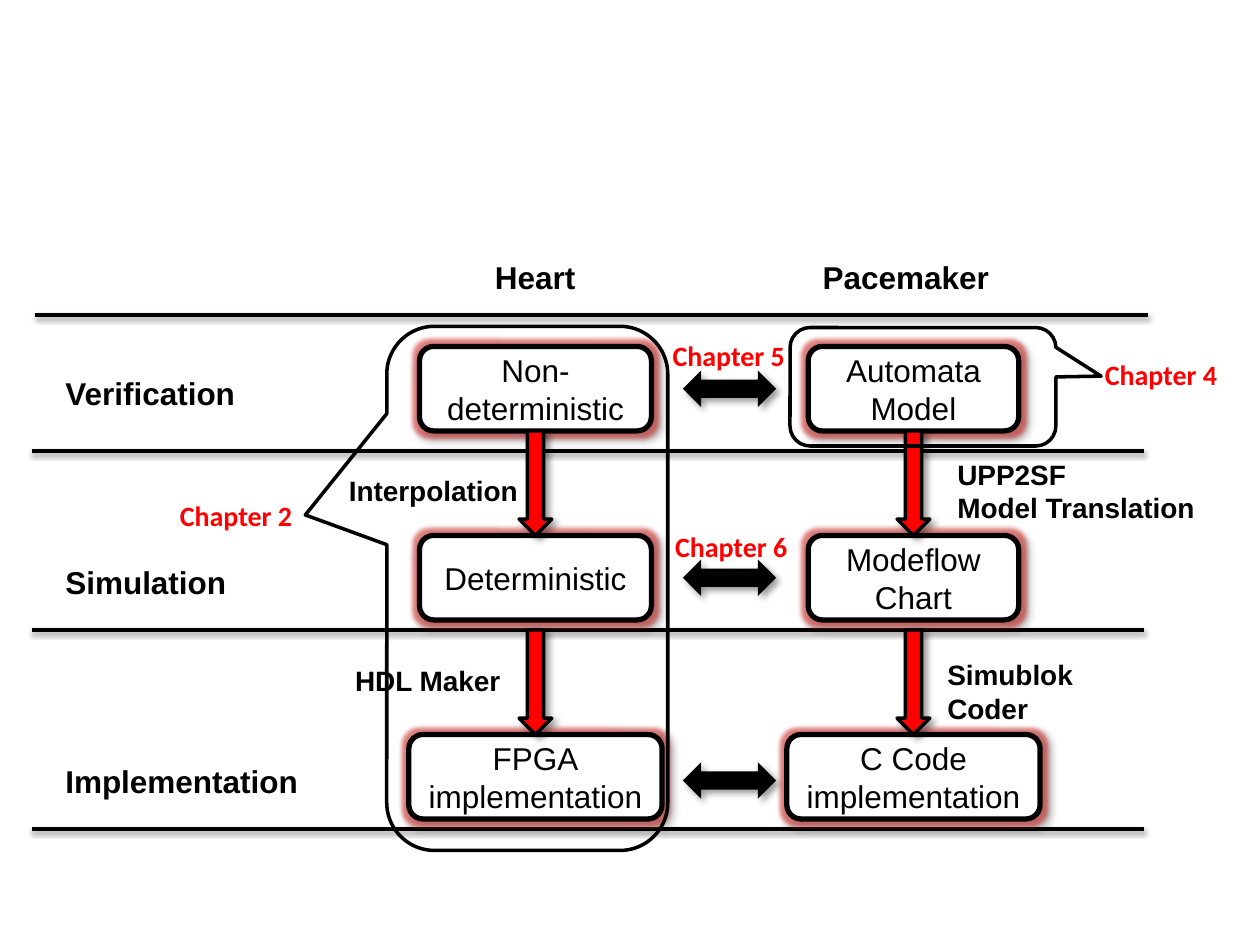
"""Build the heart and pacemaker model-based design slide."""
from lxml import etree
from pptx import Presentation
from pptx.dml.color import RGBColor
from pptx.enum import shapes, text
from pptx.oxml.ns import qn
from pptx.util import Inches, Pt

color = RGBColor.from_string


def add_effects(properties, blur, distance, angle, opacity, glow=None):
    effects = etree.SubElement(properties, qn("a:effectLst"))
    if glow:
        halo = etree.SubElement(effects, qn("a:glow"), rad=str(Pt(5)))
        tint = etree.SubElement(halo, qn("a:srgbClr"), val=glow)
        etree.SubElement(tint, qn("a:alpha"), val="60000")
    shadow = etree.SubElement(
        effects, qn("a:outerShdw"), blurRad=str(Pt(blur)), dist=str(Pt(distance)),
        dir=str(angle * 60000), algn="tl", rotWithShape="0")
    tint = etree.SubElement(shadow, qn("a:srgbClr"), val="000000")
    etree.SubElement(tint, qn("a:alpha"), val=str(opacity * 1000))


def write(frame, content, size, font, hex_color, bold, alignment, shaded):
    frame.text = content
    for paragraph in frame.paragraphs:
        paragraph.alignment = alignment
        for run in paragraph.runs:
            run.font.size = Pt(size)
            run.font.bold = bold
            run.font.color.rgb = color(hex_color)
            if shaded:
                add_effects(run.font._element, 4, 3, 45, 43)
            run.font.name = font


presentation = Presentation()
presentation.slide_width, presentation.slide_height = Inches(10), Inches(7.5)
slide = presentation.slides.add_slide(presentation.slide_layouts[6])
kinds = shapes.MSO_SHAPE

for left, top in [(0.28, 2.5), (0.25, 3.58), (0.25, 5), (0.25, 6.58)]:
    rule = slide.shapes.add_connector(
        shapes.MSO_CONNECTOR.STRAIGHT, Inches(left), Inches(top), Inches(left + 8.83), Inches(top))
    rule.line.color.rgb = color("000000")
    rule.line.width = Pt(2)
    add_effects(rule._element.spPr, 3.1, 1.6, 90, 38)

row_tops = [2.75, 4.25, 5.83]
columns = [
    (4.25, [("Non-deterministic", 1.84), ("Deterministic", 1.84), ("FPGA\nimplementation", 2.01)]),
    (7.25, [("Automata Model", 1.67), ("Modeflow\nChart", 1.67), ("C Code\nimplementation", 2.01)]),
]
for center, stages in columns:
    for top, (label, width) in zip(row_tops, stages):
        box = slide.shapes.add_shape(
            kinds.ROUNDED_RECTANGLE, Inches(center - width / 2), Inches(top), Inches(width), Inches(0.67))
        box.fill.solid()
        box.fill.fore_color.rgb = color("FFFFFF")
        box.line.color.rgb = color("000000")
        box.line.width = Pt(3)
        add_effects(box._element.spPr, 4, 3, 45, 40, "D83A36")
        box.text_frame.vertical_anchor = text.MSO_ANCHOR.MIDDLE
        write(box.text_frame, label, 18, "Arial", "000000", False, text.PP_ALIGN.CENTER, False)

arrows = [(kinds.DOWN_ARROW, center - 0.13, top, 0.26, 0.83, "FF0000")
          for center, _ in columns for top in (3.42, 5)]
arrows += [(kinds.LEFT_RIGHT_ARROW, 5.42, top, 0.74, 0.29, "000000") for top in (2.94, 4.44, 6.05)]
for kind, left, top, width, height, fill in arrows:
    arrow = slide.shapes.add_shape(kind, Inches(left), Inches(top), Inches(width), Inches(height))
    arrow.fill.solid()
    arrow.fill.fore_color.rgb = color(fill)
    if kind == kinds.DOWN_ARROW:
        arrow.line.color.rgb = color("000000")
        arrow.line.width = Pt(2)
    else:
        arrow.line.fill.background()
    add_effects(arrow._element.spPr, 4, 3, 45, 40)

callouts = [(3.07, 2.59, 2.23, 4.16, (-0.79, -0.14, 0.17)), (6.27, 2.6, 2.11, 0.94, (0.67, -0.09, 0.17))]
for left, top, width, height, adjustments in callouts:
    callout = slide.shapes.add_shape(
        kinds.ROUNDED_RECTANGULAR_CALLOUT, Inches(left), Inches(top), Inches(width), Inches(height))
    for index, value in enumerate(adjustments):
        callout.adjustments[index] = value
    callout.fill.background()
    callout.line.color.rgb = color("000000")
    callout.line.width = Pt(2)
    callout.shadow.inherit = False

heading = (18, "Arial", "000000", True)
step = (16, "Arial", "000000", True)
chapter = (16, "Calibri", "FF0000", True)
labels = [
    ("Heart", 3.83, 2, 0.85, 0.4, heading),
    ("Pacemaker", 6.43, 2, 1.53, 0.4, heading),
    ("Verification", 0.42, 2.92, 1.56, 0.4, heading),
    ("Simulation", 0.42, 4.42, 1.49, 0.4, heading),
    ("Implementation", 0.42, 6, 2.07, 0.4, heading),
    ("Interpolation", 2.67, 3.71, 1.56, 0.37, step),
    ("HDL Maker", 2.72, 5.22, 1.36, 0.37, step),
    ("UPP2SF\nModel Translation", 7.5, 3.58, 2.1, 0.64, step),
    ("Simublok Coder", 7.42, 5.17, 1.84, 0.37, step),
    ("Chapter 2", 1.33, 3.91, 1.1, 0.37, chapter),
    ("Chapter 4", 8.67, 2.79, 1.18, 0.37, chapter),
    ("Chapter 5", 5.24, 2.64, 1.1, 0.37, chapter),
    ("Chapter 6", 5.26, 4.15, 1.1, 0.37, chapter),
]
for content, left, top, width, height, style in labels:
    label = slide.shapes.add_textbox(Inches(left), Inches(top), Inches(width), Inches(height))
    label.text_frame.word_wrap = False
    label.text_frame.auto_size = text.MSO_AUTO_SIZE.SHAPE_TO_FIT_TEXT
    write(label.text_frame, content, *style, text.PP_ALIGN.LEFT, style != chapter)

presentation.save("out.pptx")
